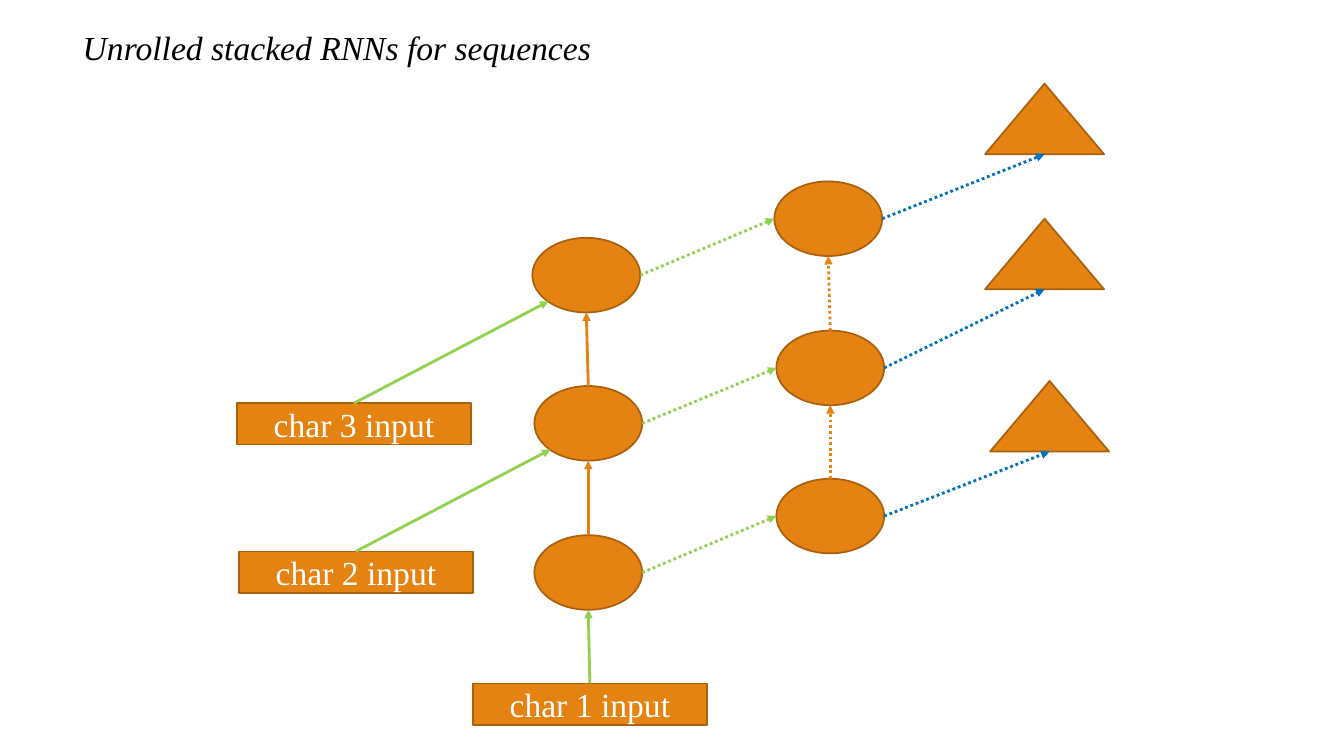
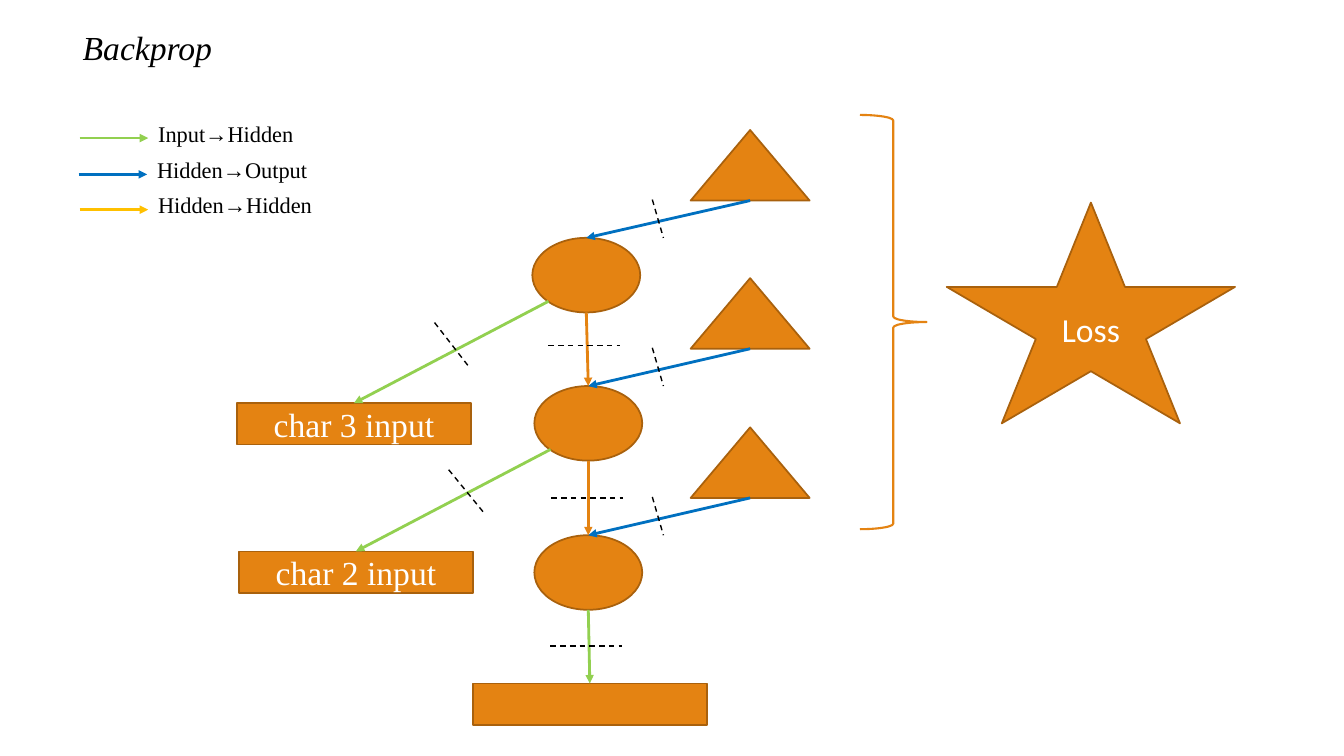
from lxml import etree
from pptx import Presentation
from pptx import util as u
from pptx.dml.color import RGBColor
from pptx.enum import dml, shapes, text
from pptx.oxml.ns import qn

PX = 9144  # 100 px to the inch
ORANGE, EDGE, GREEN, BLUE = "E48312", "A9610D", "92D050", "0070C0"
GOLD, BLACK, WHITE = "FFC000", "000000", "FFFFFF"
SERIF, SANS = "Times New Roman", "Calibri"
DOT, DASH = dml.MSO_LINE.ROUND_DOT, dml.MSO_LINE.DASH
KIND = shapes.MSO_SHAPE

# Kind of node: preset shape, width, height
KINDS = {
    "input": (KIND.RECTANGLE, 232, 41),
    "cell": (KIND.OVAL, 107, 74),
    "output": (KIND.ISOSCELES_TRIANGLE, 118, 70),
    "star": (KIND.STAR_5_POINT, 286, 219),
    "brace": (KIND.RIGHT_BRACE, 66, 411),
}
# Point on a node as shares of its width and height
SIDES = {"top": (.5, 0), "bottom": (.5, 1), "left": (0, .5),
         "right": (1, .5), "corner": (.15, .85)}

# Node: kind, left, top
CORE = {
    "in1": ("input", 469, 678), "in2": ("input", 237, 547),
    "in3": ("input", 235, 400),
    "low1": ("cell", 530, 531), "low2": ("cell", 530, 383),
    "low3": ("cell", 528, 236),
}
STACK = {
    "high1": ("cell", 770, 475), "high2": ("cell", 770, 328),
    "high3": ("cell", 768, 180),
    "out1": ("output", 982, 378), "out2": ("output", 977, 217),
    "out3": ("output", 977, 83),
}
LOSS = {
    "out1": ("output", 685, 424), "out2": ("output", 685, 276),
    "out3": ("output", 685, 129),
    "loss": ("star", 939, 201), "brace": ("brace", 853, 114),
}
LABELS = {"in1": "char 1 input", "in2": "char 2 input", "in3": "char 3 input"}

# Link: start node, its side, end node, its side, colour
CORE_LINKS = [
    ("in1", "top", "low1", "bottom", GREEN),
    ("in2", "top", "low2", "corner", GREEN),
    ("in3", "top", "low3", "corner", GREEN),
    ("low1", "top", "low2", "bottom", ORANGE),
    ("low2", "top", "low3", "bottom", ORANGE),
]
STACK_LINKS = [
    ("high1", "top", "high2", "bottom", ORANGE),
    ("high2", "top", "high3", "bottom", ORANGE),
]
for i in "123":
    STACK_LINKS += [("low" + i, "right", "high" + i, "left", GREEN),
                    ("high" + i, "right", "out" + i, "bottom", BLUE)]
BACK_LINKS = [(b, end, a, start, hue) for a, start, b, end, hue in CORE_LINKS]
BACK_LINKS += [("out" + i, "bottom", "low" + i, "top", BLUE) for i in "123"]

# Legend row: words, colour, left and height of its arrow
LEGEND = [("Input→Hidden", GREEN, 79, 137), ("Hidden→Output", BLUE, 78, 173),
          ("Hidden→Hidden", GOLD, 79, 208)]
# Dashed marks across the links: x1, y1, x2, y2
CUTS = [(544, 343, 615, 343), (547, 494, 618, 494), (546, 641, 617, 641),
        (431, 320, 466, 365), (445, 466, 481, 510)]
CUTS += [(647, CORE[n][2] - 38, 658, CORE[n][2])
         for n in ("low1", "low2", "low3")]


def px(*nums):
    return [round(n * PX) for n in nums]


def rgb(code):
    return RGBColor.from_string(code)


def write(frame, words, size=24, font=SERIF, hue=BLACK, slant=False,
          align=text.PP_ALIGN.LEFT, anchor=text.MSO_ANCHOR.TOP):
    frame.word_wrap = True
    frame.vertical_anchor = anchor
    para = frame.paragraphs[0]
    para.alignment = align
    run = para.add_run()
    run.text = words
    run.font.name, run.font.size = font, u.Pt(size)
    run.font.italic, run.font.color.rgb = slant, rgb(hue)


def start(deck, title):
    """Add a slide with its title."""
    slide = deck.slides.add_slide(deck.slide_layouts[5])
    head = slide.shapes.title
    head.left, head.top, head.width, head.height = px(72, 22, 600, 50)
    write(head.text_frame, title, slant=True)
    return slide


def draw(slide, nodes, labels):
    """Add the nodes and return them by name."""
    made = {}
    for name, (kind, x, y) in nodes.items():
        preset, w, h = KINDS[kind]
        node = slide.shapes.add_shape(preset, *px(x, y, w, h))
        node.shadow.inherit = False
        if kind == "brace":
            node.fill.background()
            node.line.color.rgb, node.line.width = rgb(ORANGE), u.Pt(1.5)
        else:
            node.fill.solid()
            node.fill.fore_color.rgb = rgb(ORANGE)
            node.line.color.rgb, node.line.width = rgb(EDGE), u.Pt(1.25)
        if name in labels:
            write(node.text_frame, labels[name], hue=WHITE,
                  font=SANS if kind == "star" else SERIF,
                  align=text.PP_ALIGN.CENTER, anchor=text.MSO_ANCHOR.MIDDLE)
        made[name] = node
    return made


def rule(slide, ends, hue, width=2, dash=None, arrow=True):
    """Add a straight line between two points given in EMU."""
    line = slide.shapes.add_connector(shapes.MSO_CONNECTOR.STRAIGHT, *ends)
    line.line.color.rgb, line.line.width = rgb(hue), u.Pt(width)
    if dash:
        line.line.dash_style = dash
    if arrow:
        tail = etree.SubElement(line.line._get_or_add_ln(), qn("a:tailEnd"))
        tail.set("type", "triangle")
    etree.SubElement(line._element.spPr, qn("a:effectLst"))
    return line


def spot(node, side):
    """Point in EMU on the given side of a node."""
    fx, fy = SIDES[side]
    return (round(node.left + fx * node.width),
            round(node.top + fy * node.height))


def link(slide, made, links, dash=None):
    for a, start_side, b, end_side, hue in links:
        ends = spot(made[a], start_side) + spot(made[b], end_side)
        line = rule(slide, ends, hue, dash=dash)
        if start_side == "top":
            line.begin_connect(made[a], 0)
        if end_side == "top":
            line.end_connect(made[b], 0)


def stacked(deck):
    slide = start(deck, "Unrolled stacked RNNs for sequences")
    made = draw(slide, {**CORE, **STACK}, LABELS)
    link(slide, made, CORE_LINKS)
    link(slide, made, STACK_LINKS, DOT)


def backprop(deck):
    slide = start(deck, "Backprop")
    labels = {"in2": LABELS["in2"], "in3": LABELS["in3"], "loss": "Loss"}
    made = draw(slide, {**CORE, **LOSS}, labels)
    link(slide, made, BACK_LINKS)
    for cut in CUTS:
        rule(slide, px(*cut), BLACK, width=1, dash=DASH, arrow=False)
    for words, hue, x, y in LEGEND:
        rule(slide, px(x, y, x + 68, y), hue)
        box = slide.shapes.add_textbox(*px(x + 68, y - 23, 190, 37))
        write(box.text_frame, words, size=16)


def main():
    deck = Presentation()
    deck.slide_width, deck.slide_height = px(1333, 750)
    stacked(deck)
    backprop(deck)
    deck.save("out.pptx")


if __name__ == "__main__":
    main()
